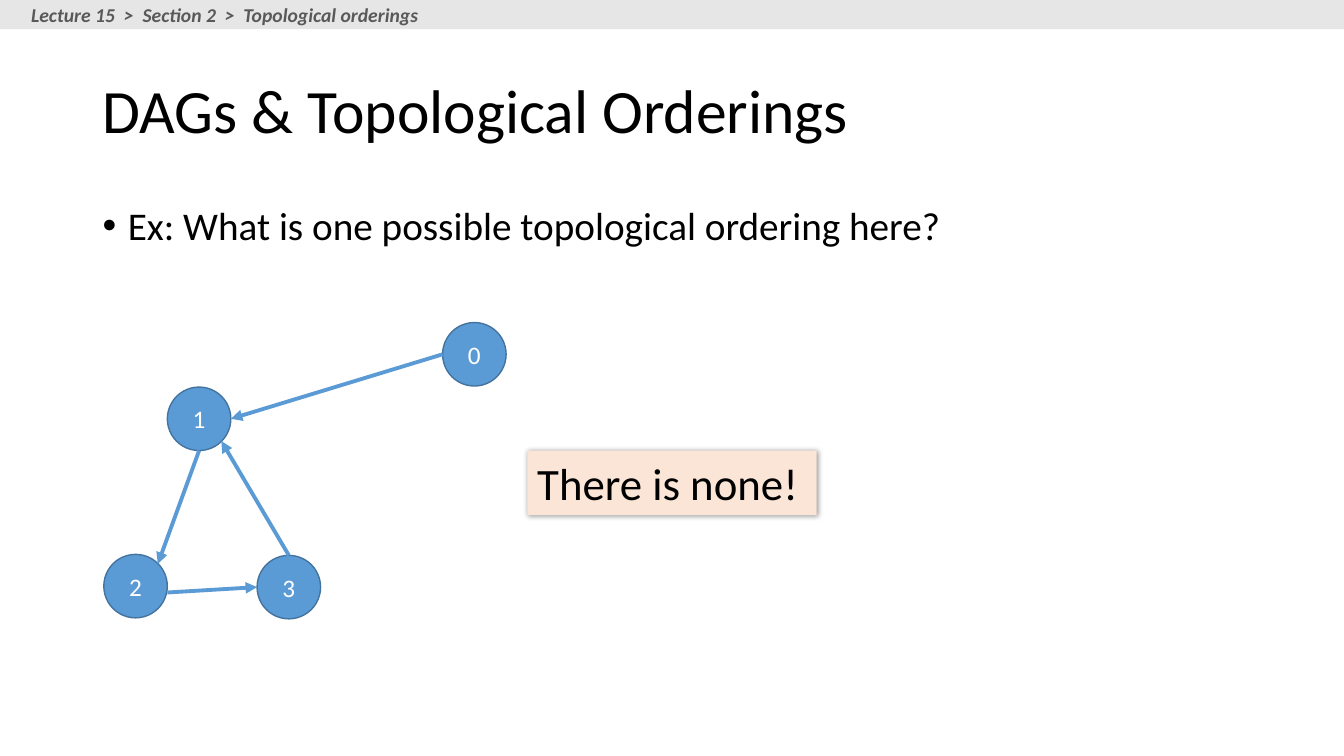
from lxml import etree
from pptx import Presentation
from pptx.dml.color import RGBColor
from pptx.enum.shapes import MSO_CONNECTOR as CONN, MSO_SHAPE as SHAPE
from pptx.enum.text import MSO_ANCHOR as ANCHOR, PP_ALIGN as ALIGN
from pptx.oxml import parse_xml
from pptx.oxml.ns import nsdecls, qn
from pptx.util import Inches, Pt

COLORS = {
    "text": "000000",
    "node": "5B9BD5",
    "node_line": "43739E",
    "node_text": "FFFFFF",
    "answer": "FBE5D6",
    "banner": "E7E6E6",
    "banner_text": "595959",
}
DIAMETER = 0.63
NODES = {"1": (1.66, 3.84), "3": (2.55, 5.51), "2": (1.03, 5.5), "0": (4.39, 3.2)}
TOP, LEFT, BOTTOM, RIGHT = (0.5, 0), (0, 0.5), (0.5, 1), (1, 0.5)
UPPER_RIGHT, LOWER_RIGHT = (0.85, 0.15), (0.85, 0.85)
EDGES = [
    ("0", LEFT, "1", RIGHT),
    ("1", BOTTOM, "2", UPPER_RIGHT),
    ("2", (1, 0.6), "3", LEFT),
    ("3", TOP, "1", LOWER_RIGHT),
]


def rgb(name):
    return RGBColor.from_string(COLORS[name])


def set_text(shape, text, size, color="text", anchor=ANCHOR.TOP, wrap=True,
             font=None, para=None, bullet=False):
    tf = shape.text_frame
    tf.word_wrap = wrap
    tf.vertical_anchor = anchor
    p = tf.paragraphs[0]
    for key, value in {"alignment": ALIGN.LEFT, **(para or {})}.items():
        setattr(p, key, value)
    if bullet:
        pPr = p._p.get_or_add_pPr()
        pPr.set("marL", str(Inches(0.25)))
        pPr.set("indent", str(Inches(-0.25)))
        etree.SubElement(pPr, qn("a:buFont")).set("typeface", "Arial")
        etree.SubElement(pPr, qn("a:buChar")).set("char", "•")
    r = p.add_run()
    r.text = text
    for key, value in {"name": "Calibri", "size": Pt(size), **(font or {})}.items():
        setattr(r.font, key, value)
    r.font.color.rgb = rgb(color)


def add_text(s, box, text, size, **formats):
    tb = s.shapes.add_textbox(*map(Inches, box))
    set_text(tb, text, size, **formats)


def add_filled(s, kind, box, fill, line=None):
    sp = s.shapes.add_shape(kind, *map(Inches, box))
    sp.shadow.inherit = False
    sp.fill.solid()
    sp.fill.fore_color.rgb = rgb(fill)
    if line:
        sp.line.color.rgb = rgb(line)
        sp.line.width = Pt(1)
    else:
        sp.line.fill.background()
    return sp


def add_node(s, label, left, top):
    sp = add_filled(s, SHAPE.OVAL, (left, top, DIAMETER, DIAMETER), "node", "node_line")
    set_text(sp, label, 18, "node_text", ANCHOR.MIDDLE, para={"alignment": ALIGN.CENTER})


def node_point(label, offset):
    return [Inches(start + DIAMETER * part) for start, part in zip(NODES[label], offset)]


def add_edge(s, source, source_offset, target, target_offset):
    edge = s.shapes.add_connector(
        CONN.STRAIGHT, *node_point(source, source_offset), *node_point(target, target_offset))
    edge.line.color.rgb = rgb("node")
    edge.line.width = Pt(2.75)
    etree.SubElement(edge.line._get_or_add_ln(), qn("a:tailEnd")).set("type", "triangle")
    etree.SubElement(edge._element.spPr, qn("a:effectLst"))


def add_shadow(sp):
    effects = sp._element.spPr.find(qn("a:effectLst"))
    effects.append(parse_xml(
        f'<a:outerShdw {nsdecls("a")} blurRad="{Pt(4)}" dist="{Pt(1)}" dir="2700000" '
        'algn="tl" rotWithShape="0"><a:srgbClr val="000000"><a:alpha val="40000"/>'
        '</a:srgbClr></a:outerShdw>'))


def add_answer(s, text):
    sp = add_filled(s, SHAPE.RECTANGLE, (5.23, 4.47, 2.87, 0.64), "answer")
    add_shadow(sp)
    set_text(sp, text, 32)


def add_banner(s, text):
    add_filled(s, SHAPE.RECTANGLE, (0, 0, 13.33, 0.29), "banner")
    add_text(s, (0.21, -0.02, 4.05, 0.34), text, 14, color="banner_text",
             wrap=False, font={"bold": True, "italic": True})


def main():
    prs = Presentation()
    prs.slide_width, prs.slide_height = Inches(13.33), Inches(7.5)
    s = prs.slides.add_slide(prs.slide_layouts[6])
    tight = {"line_spacing": 0.9}
    add_text(s, (0.92, 0.4, 11.5, 1.45), "DAGs & Topological Orderings", 44,
             anchor=ANCHOR.MIDDLE, para=tight)
    add_text(s, (0.92, 2, 11.5, 4.76), "Ex: What is one possible topological ordering here?",
             28, para=tight, bullet=True)
    for label, (left, top) in NODES.items():
        add_node(s, label, left, top)
    for edge in EDGES:
        add_edge(s, *edge)
    add_answer(s, "There is none!")
    add_banner(s, "Lecture 15  >  Section 2  >  Topological orderings")
    prs.save("out.pptx")


if __name__ == "__main__":
    main()
